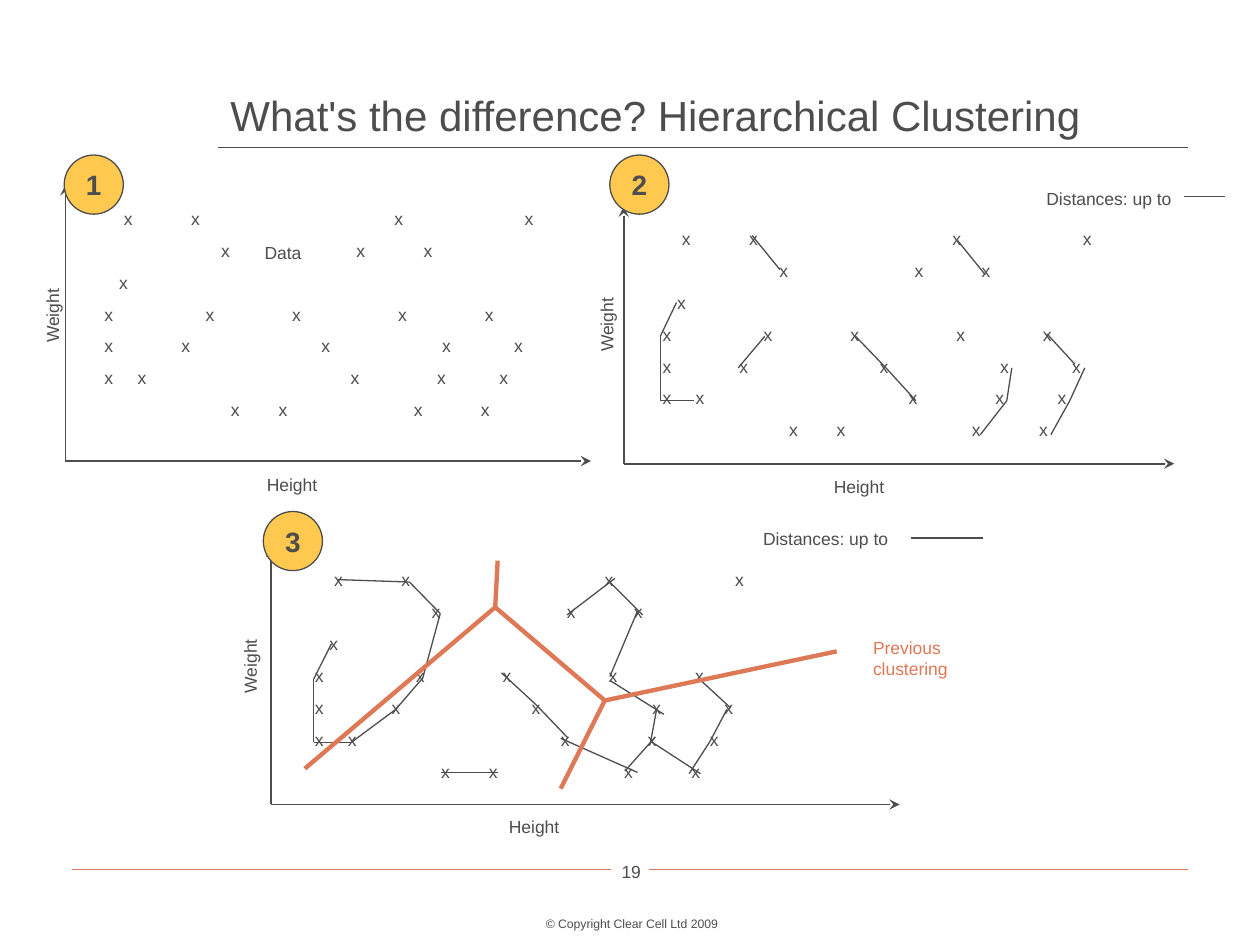
from dataclasses import dataclass
from itertools import pairwise

from lxml import etree
from pptx import Presentation
from pptx.dml.color import RGBColor
from pptx.enum.shapes import MSO_CONNECTOR, MSO_SHAPE
from pptx.enum.text import MSO_ANCHOR, PP_ALIGN
from pptx.oxml.ns import qn
from pptx.util import Pt

STRAIGHT = MSO_CONNECTOR.STRAIGHT
OVAL = MSO_SHAPE.OVAL
LEFT, CENTER = PP_ALIGN.LEFT, PP_ALIGN.CENTER
TOP, MIDDLE, BOTTOM = MSO_ANCHOR.TOP, MSO_ANCHOR.MIDDLE, MSO_ANCHOR.BOTTOM


@dataclass(frozen=True)
class Theme:
    font: str = "Arial"
    ink: RGBColor = RGBColor(0x4D, 0x4D, 0x4D)
    accent: RGBColor = RGBColor(0xDD, 0x79, 0x56)
    badge: RGBColor = RGBColor(0xFF, 0xC9, 0x4F)
    title: float = 24
    number: float = 16
    body: float = 10
    small: float = 7
    thin: float = 0.75
    axis: float = 1
    thick: float = 2.5


THEME = Theme()

prs = Presentation()
prs.slide_width, prs.slide_height = Pt(720), Pt(540)
slide = prs.slides.add_slide(prs.slide_layouts[6])


def add_text(text, box, *, size=THEME.body, color=THEME.ink, bold=False, align=LEFT,
             anchor=TOP, wrap=True, turn=0, gap=0, stops=(), badge=False):
    """Text box, or round badge; stops holds the tab positions of each paragraph."""
    area = [Pt(v) for v in box]
    if badge:
        holder = slide.shapes.add_shape(OVAL, *area)
        holder.shadow.inherit = False
        holder.fill.solid()
        holder.fill.fore_color.rgb = THEME.badge
        holder.line.color.rgb = THEME.ink
        holder.line.width = Pt(THEME.thin)
    else:
        holder = slide.shapes.add_textbox(*area)
    holder.rotation = turn
    frame = holder.text_frame
    frame.word_wrap = wrap
    frame.vertical_anchor = anchor
    frame.text = text
    for row, paragraph in enumerate(frame.paragraphs):
        paragraph.alignment = align
        if row:
            paragraph.space_before = Pt(gap)
        if stops and stops[row]:
            tabs = etree.SubElement(paragraph._p.get_or_add_pPr(), qn("a:tabLst"))
            for stop in stops[row]:
                etree.SubElement(tabs, qn("a:tab"), pos=str(Pt(stop)), algn="l")
        font = paragraph.font
        font.name, font.size, font.bold = THEME.font, Pt(size), bold
        font.color.rgb = color


def add_path(points, color=THEME.ink, width=THEME.thin, arrow=False):
    """Straight connectors through the points in turn."""
    for start, end in pairwise(points):
        link = slide.shapes.add_connector(STRAIGHT, *[Pt(v) for v in (*start, *end)])
        link.line.color.rgb = color
        link.line.width = Pt(width)
        if arrow:
            etree.SubElement(link.line._get_or_add_ln(), qn("a:tailEnd"), type="stealth")
        etree.SubElement(link._element.spPr, qn("a:effectLst"))


# Footer and title
for left, right in ((41, 349.2), (370.8, 679)):
    add_path([(left, 496.8), (right, 496.8)], THEME.accent)
add_text("19", (345.6, 488.2, 30.2, 23.8), align=CENTER)
add_text("© Copyright Clear Cell Ltd 2009", (264.2, 519.8, 193.7, 15.8),
         size=THEME.small, align=CENTER)
add_path([(124.6, 84.2), (679, 84.2)])
add_text("What's the difference? Hierarchical Clustering", (124.6, 43.2, 560.2, 40.3),
         size=THEME.title, anchor=BOTTOM)

# Data marks: gaps before each x, counted in widths of a space
SPACE, MARK = 2.78, 5
mark_gaps = (
    (4, 12, 40, 25),
    (24, 26, 12),
    (3,),
    (0, 19, 16, 20, 16),
    (0, 14, 27, 23, 13),
    (0, 5, 42, 16, 11),
    (26, 8, 26, 12),
)
mark_rows, mark_stops = [], []
for gaps in mark_gaps:
    places = [round(sum(gaps[:i + 1]) * SPACE + i * MARK, 2) for i in range(len(gaps))]
    mark_rows.append("".join("\tx" if place else "x" for place in places))
    mark_stops.append([place for place in places if place])

# Each panel: axis corner and ends, label and mark boxes, badge, links between marks
panels = [
    dict(number="1", corner=(37.4, 263.5), top=105.8, right=337.7, weight=(7.2, 170.6),
         height=(145.4, 267.1), marks=(52.6, 115.2, 275.8), badge=(36.7, 88.6), links=[]),
    dict(number="2", corner=(356.4, 265), top=118.1, right=671, weight=(324, 175.7),
         height=(469.4, 268.6), marks=(371.5, 126.7, 289.4), badge=(348.5, 88.6),
         legend=(569.5, 103.7, 131), sample=(676.8, 699.8, 112.3),
         links=[
             [(386.6, 172.8), (377.3, 192.2), (377.3, 229), (396.7, 229)],
             [(421.9, 210.2), (437, 192.2)],
             [(578.2, 210.2), (575.3, 229), (560.2, 248.4)],
             [(619.9, 210.2), (611.3, 229), (600.5, 248.4)],
             [(429.8, 134.6), (445.7, 154.1)],
             [(488.9, 192.2), (506.9, 210.9), (523.4, 229)],
             [(547.2, 137.5), (563, 157)],
             [(598.3, 190.8), (614.2, 208.1)],
         ]),
    dict(number="3", corner=(154.8, 459.7), top=312.5, right=514.1, weight=(120.2, 370.8),
         height=(283.7, 463), marks=(172.8, 321.8, 331.2), badge=(150.5, 292.3),
         legend=(398.2, 298.1, 149.8), sample=(520.6, 561.6, 307.4),
         links=[
             [(189.4, 367.9), (179.3, 388), (179.3, 424.1), (200.9, 424.1), (226.1, 405.4),
              (241.6, 387.4), (251.6, 350.6), (234, 332.6), (193, 331.2)],
             [(286.6, 384.5), (306.4, 402.8), (324.7, 421.9)],
             [(320.4, 421.9), (364.3, 441.4)],
             [(324, 351.4), (351.4, 330.5)],
             [(348.5, 332.6), (367.2, 351.4)],
             [(364.3, 349.2), (348.5, 386.6)],
             [(348.5, 388.8), (379.4, 408.2)],
             [(375.1, 406.1), (371.5, 425.5)],
             [(374.4, 421.2), (357.1, 440.6)],
             [(371.5, 423.4), (400.3, 442.1)],
             [(393.8, 442.1), (405.7, 423.7), (415.4, 405.4)],
             [(398.9, 387.4), (417.6, 404.6)],
             [(252, 441.4), (284.4, 441.4)],
         ]),
]
LABEL_HEIGHT = 19.4
for panel in panels:
    left, bottom = panel["corner"]
    x, y, width = panel["marks"]
    add_text("\n".join(mark_rows), (x, y, width, 128.9), gap=6.2, stops=mark_stops)
    for end in ((left, panel["top"]), (panel["right"], bottom)):
        add_path([(left, bottom), end], width=THEME.axis, arrow=True)
    add_text("Weight", (*panel["weight"], 45.4, LABEL_HEIGHT), wrap=False, turn=270)
    add_text("Height", (*panel["height"], 54, LABEL_HEIGHT))
    for link in panel["links"]:
        add_path(link)
    if "legend" in panel:
        x, y, width = panel["legend"]
        add_text("Distances: up to ", (x, y, width, LABEL_HEIGHT), align=CENTER)
        start, end, y = panel["sample"]
        add_path([(start, y), (end, y)])
    add_text(panel["number"], (*panel["badge"], 33.8, 33.8), size=THEME.number, bold=True,
             align=CENTER, anchor=MIDDLE, wrap=False, badge=True)

add_text("Data", (133.2, 134.6, 56.9, LABEL_HEIGHT), align=CENTER)

# Borders of the previous clustering in panel 3
upper_fork, lower_fork = (283, 347), (345.6, 400.3)
for border in ([(174.2, 439.2), upper_fork, lower_fork, (478.1, 372.2)],
               [(284.4, 320.4), upper_fork],
               [lower_fork, (320.4, 450.7)]):
    add_path(border, THEME.accent, THEME.thick)
add_text("Previous clustering", (491.8, 360.7, 83.5, 31.7), color=THEME.accent)

prs.save("out.pptx")
